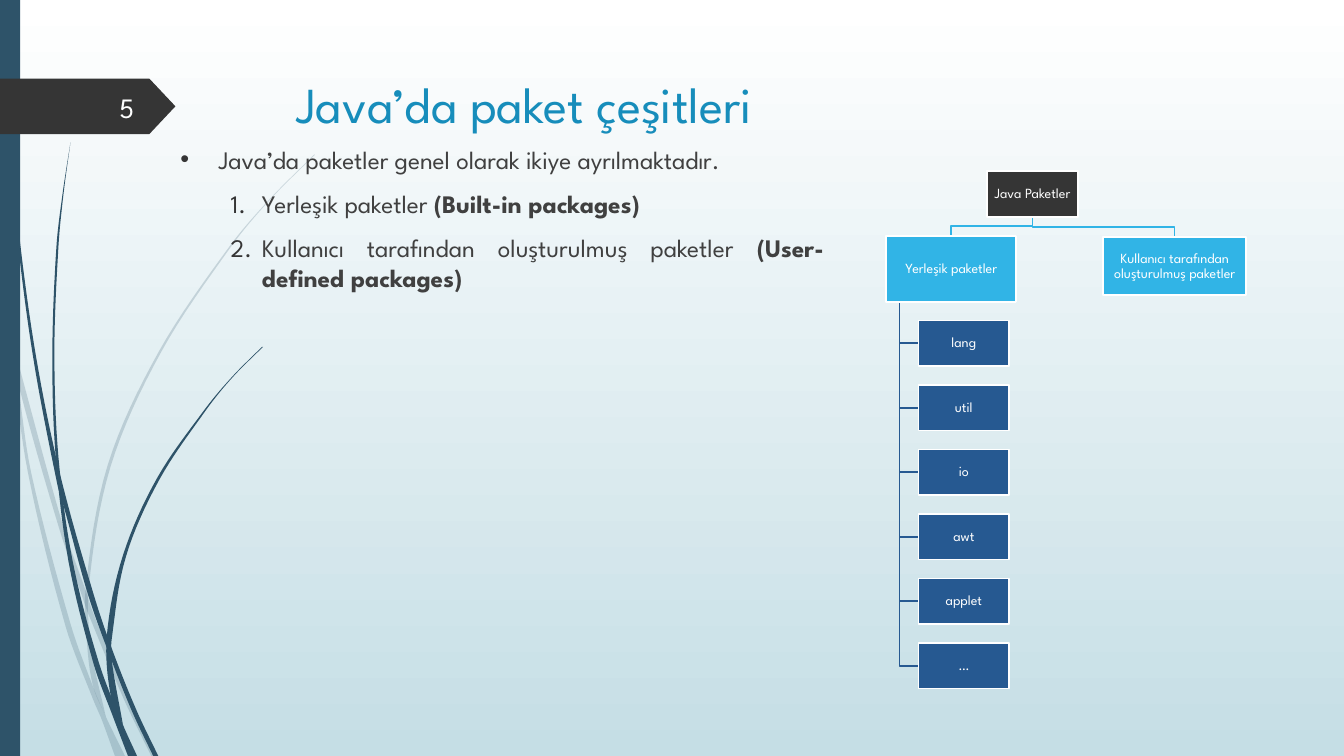
import pptx
import pptx.util
import pptx.dml.color
import pptx.enum.shapes
import pptx.enum.text
import pptx.oxml.ns
from lxml import etree

Inches = pptx.util.Inches
Pt = pptx.util.Pt
Kind = pptx.enum.shapes.MSO_SHAPE
Align = pptx.enum.text.PP_ALIGN
Anchor = pptx.enum.text.MSO_ANCHOR
qn = pptx.oxml.ns.qn

FONT = "League Spartan"
HUES = {
    "white": "FFFFFF", "sky": "C5DEE5", "stem": "2E5369", "dark": "353535",
    "title": "178DBB", "text": "404040", "light": "31B4E6", "blue": "265991",
    "page": "FEFFFF",
}

# Each stem: left edge and right edge from top to bottom, in inches
FAINT = [
    ([(0.14, 3.45), (0.17, 3.76), (0.58, 5.22), (0.84, 5.99), (0.88, 6.1),
      (1.23, 6.94), (1.5, 7.5)],
     [(0.14, 3.45), (0.62, 5.2), (0.85, 5.86), (0.92, 6.07), (1.27, 6.92), (1.55, 7.5)]),
    ([(0.11, 3.5), (0.28, 4.7), (0.65, 6.21), (0.92, 6.93), (1.01, 7.14), (1.14, 7.5)],
     [(0.11, 3.5), (0.17, 3.76), (0.31, 4.69), (0.7, 6.19), (0.93, 6.83),
      (1.05, 7.11), (1.24, 7.5)]),
    ([(3.12, 1.53), (2.68, 1.97), (2.28, 2.44), (1.58, 3.48), (1.07, 4.61),
      (0.85, 5.84), (0.87, 6.46), (0.93, 6.83), (1.05, 7.11)],
     [(3.12, 1.54), (2.68, 1.98), (2.29, 2.45), (1.6, 3.49), (1.1, 4.62),
      (0.88, 5.84), (0.91, 6.46), (1.05, 7.11)]),
]
BOLD = [
    ([(0.03, 0), (0.07, 1.1), (0.17, 2.33), (0.33, 3.55), (0.57, 4.81),
      (0.64, 5.05), (0.88, 5.92), (1.11, 6.56), (1.32, 7.08), (1.52, 7.5)],
     [(0.04, 0), (0.08, 1.09), (0.19, 2.32), (0.36, 3.55), (0.6, 4.72),
      (0.93, 5.9), (1.13, 6.49), (1.36, 7.06), (1.57, 7.5)]),
    ([(0.7, 1.41), (0.62, 1.93), (0.56, 2.45), (0.52, 3.49), (0.55, 4.49),
      (0.68, 5.57), (0.93, 6.59), (1.11, 7.08), (1.27, 7.5)],
     [(0.7, 1.41), (0.63, 1.93), (0.58, 2.45), (0.54, 3.49), (0.58, 4.53),
      (0.72, 5.56), (0.98, 6.57), (1.22, 7.19), (1.36, 7.5)]),
    ([(2.6, 3.44), (2.31, 3.73), (2.04, 4.05), (1.56, 4.74), (1.22, 5.51),
      (1.06, 6.31), (1.1, 6.91), (1.22, 7.19)],
     [(2.61, 3.44), (2.31, 3.74), (2.05, 4.06), (1.58, 4.76), (1.25, 5.52),
      (1.11, 6.33), (1.11, 6.56), (1.22, 7.19)]),
]


def hue(name):
    return pptx.dml.color.RGBColor.from_string(HUES[name])


def paint(shape, fill, line=None):
    shape.shadow.inherit = False
    if fill:
        shape.fill.solid()
        shape.fill.fore_color.rgb = hue(fill)
    else:
        shape.fill.background()
    if line:
        shape.line.color.rgb = hue(line)
        shape.line.width = Pt(1.25)
    else:
        shape.line.fill.background()


def style(par, size, color):
    for run in par.runs:
        run.font.name = FONT
        run.font.size = Pt(size)
        run.font.color.rgb = hue(color)


def block(slide, kind, box, fill, line=None):
    shape = slide.shapes.add_shape(kind, *map(Inches, box))
    paint(shape, fill, line)
    return shape


def trace(slide, points, close):
    """Draw straight segments through points given in inches."""
    spots = [(Inches(x), Inches(y)) for x, y in points]
    form = slide.shapes.build_freeform(*spots[0])
    form.add_line_segments(spots[1:], close=close)
    return form.convert_to_shape()


def smooth(edge, steps=8):
    """Return a smooth curve x(y) through the points of an edge."""
    last = len(edge) - 1
    slopes = []
    for i in range(last + 1):
        (xa, ya), (xb, yb) = edge[max(i - 1, 0)], edge[min(i + 1, last)]
        slopes.append((xb - xa) / (yb - ya))
    curve = [edge[0]]
    for i in range(last):
        (xa, ya), (xb, yb) = edge[i], edge[i + 1]
        gap = yb - ya
        for step in range(1, steps + 1):
            t = step / steps
            x = ((1 + 2 * t) * (1 - t) ** 2 * xa + t * t * (3 - 2 * t) * xb
                 + gap * t * (1 - t) * ((1 - t) * slopes[i] - t * slopes[i + 1]))
            curve.append((x, ya + t * gap))
    return curve


def stems(slide, group, alpha=100):
    for left, right in group:
        shape = trace(slide, smooth(left) + smooth(right)[::-1], True)
        paint(shape, "stem")
        if alpha < 100:
            for color in shape._element.spPr.iter(qn("a:srgbClr")):
                etree.SubElement(color, qn("a:alpha"), val=str(alpha * 1000))


def decor(slide):
    fill = slide.background.fill
    fill.gradient()
    fill.gradient_angle = 270
    for stop, name, place in zip(fill.gradient_stops, ("white", "sky"), (0, 1)):
        stop.color.rgb = hue(name)
        stop.position = place
    stems(slide, FAINT, 20)
    stems(slide, BOLD)
    block(slide, Kind.RECTANGLE, (0, 0, 0.2, 7.5), "stem")


def badge(slide, left, top, number):
    tag = block(slide, Kind.PENTAGON, (left, top, 1.74, 0.55), "dark")
    tag.adjustments[0] = 0.47
    note = slide.shapes.add_textbox(*map(Inches, (left + 0.58, top + 0.08, 0.85, 0.4)))
    frame = note.text_frame
    frame.word_wrap = True
    frame.vertical_anchor = Anchor.MIDDLE
    frame.text = number
    frame.paragraphs[0].alignment = Align.RIGHT
    style(frame.paragraphs[0], 20, "page")


def head(slide, box, words):
    title = slide.shapes.title
    title.left, title.top, title.width, title.height = map(Inches, box)
    frame = title.text_frame
    frame.text = words
    frame.vertical_anchor = Anchor.TOP
    frame.paragraphs[0].alignment = Align.LEFT
    style(frame.paragraphs[0], 36, "title")


def body(slide, box):
    frame = slide.shapes.add_textbox(*map(Inches, box)).text_frame
    frame.word_wrap = True
    rows = [
        ("Java’da paketler genel olarak ikiye ayrılmaktadır.", "", 0),
        ("Yerleşik paketler ", "(Built-in packages)", 1),
        ("Kullanıcı tarafından oluşturulmuş paketler ", "(User-defined packages)", 1),
    ]
    for i, (plain, strong, level) in enumerate(rows):
        par = frame.add_paragraph() if i else frame.paragraphs[0]
        par.text = plain
        if strong:
            run = par.add_run()
            run.text = strong
            run.font.bold = True
        par.level = level
        par.alignment = Align.JUSTIFY
        par.space_before = Pt(10)
        style(par, 18, "text")
        props = par._p.get_or_add_pPr()
        indent, hang = ((0.38, 0.38), (0.81, 0.31))[level]
        props.set("marL", str(Inches(indent)))
        props.set("indent", str(-Inches(hang)))
        tint = etree.SubElement(props, qn("a:buClr"))
        etree.SubElement(tint, qn("a:srgbClr"), val=HUES["dark"])
        if level:
            etree.SubElement(props, qn("a:buFont"), typeface=FONT)
            etree.SubElement(props, qn("a:buAutoNum"), type="arabicPeriod")
        else:
            etree.SubElement(props, qn("a:buFont"), typeface="Arial")
            etree.SubElement(props, qn("a:buChar"), char="•")


def node(slide, box, words, fill):
    shape = block(slide, Kind.RECTANGLE, box, fill, "white")
    frame = shape.text_frame
    frame.word_wrap = True
    frame.vertical_anchor = Anchor.MIDDLE
    frame.margin_left = frame.margin_right = Inches(0.01)
    frame.margin_top = frame.margin_bottom = Inches(0.01)
    frame.text = words
    par = frame.paragraphs[0]
    par.alignment = Align.CENTER
    par.line_spacing = 0.9
    style(par, 10, "white")


def tree(slide, left, top):
    wide, high = 0.9, 0.45
    root = (left + 1, top, wide, high)
    stock = (left, top + 0.64, 1.29, 0.66)
    own = (left + 2.15, top + 0.65, 1.42, 0.58)
    mid, base = root[0] + wide / 2, top + high
    for x, y, w, _ in (own, stock):
        end = x + w / 2
        route = [(mid, base), (mid, y - 0.1), (end, y - 0.1), (end, y)]
        paint(trace(slide, route, False), None, "light")
    spine, foot = left + 0.13, stock[1] + stock[3]
    for i, name in enumerate(("lang", "util", "io", "awt", "applet", "…")):
        leaf = (left + 0.32, foot + 0.18 + i * 0.64, wide, high)
        y = leaf[1] + high / 2
        route = [(spine, foot), (spine, y), (leaf[0], y)]
        paint(trace(slide, route, False), None, "blue")
        node(slide, leaf, name, "blue")
    node(slide, root, "Java Paketler", "dark")
    node(slide, stock, "Yerleşik paketler", "light")
    node(slide, own, "Kullanıcı tarafından oluşturulmuş paketler", "light")


def main():
    deck = pptx.Presentation()
    deck.slide_width, deck.slide_height = Inches(13.33), Inches(7.5)
    slide = deck.slides.add_slide(deck.slide_layouts[5])
    decor(slide)
    badge(slide, 0, 0.78, "5")
    head(slide, (2.84, 0.68, 9.75, 1.4), "Java’da paket çeşitleri")
    body(slide, (1.69, 1.38, 6.58, 5.02))
    tree(slide, 8.79, 1.7)
    deck.save("out.pptx")


if __name__ == "__main__":
    main()
